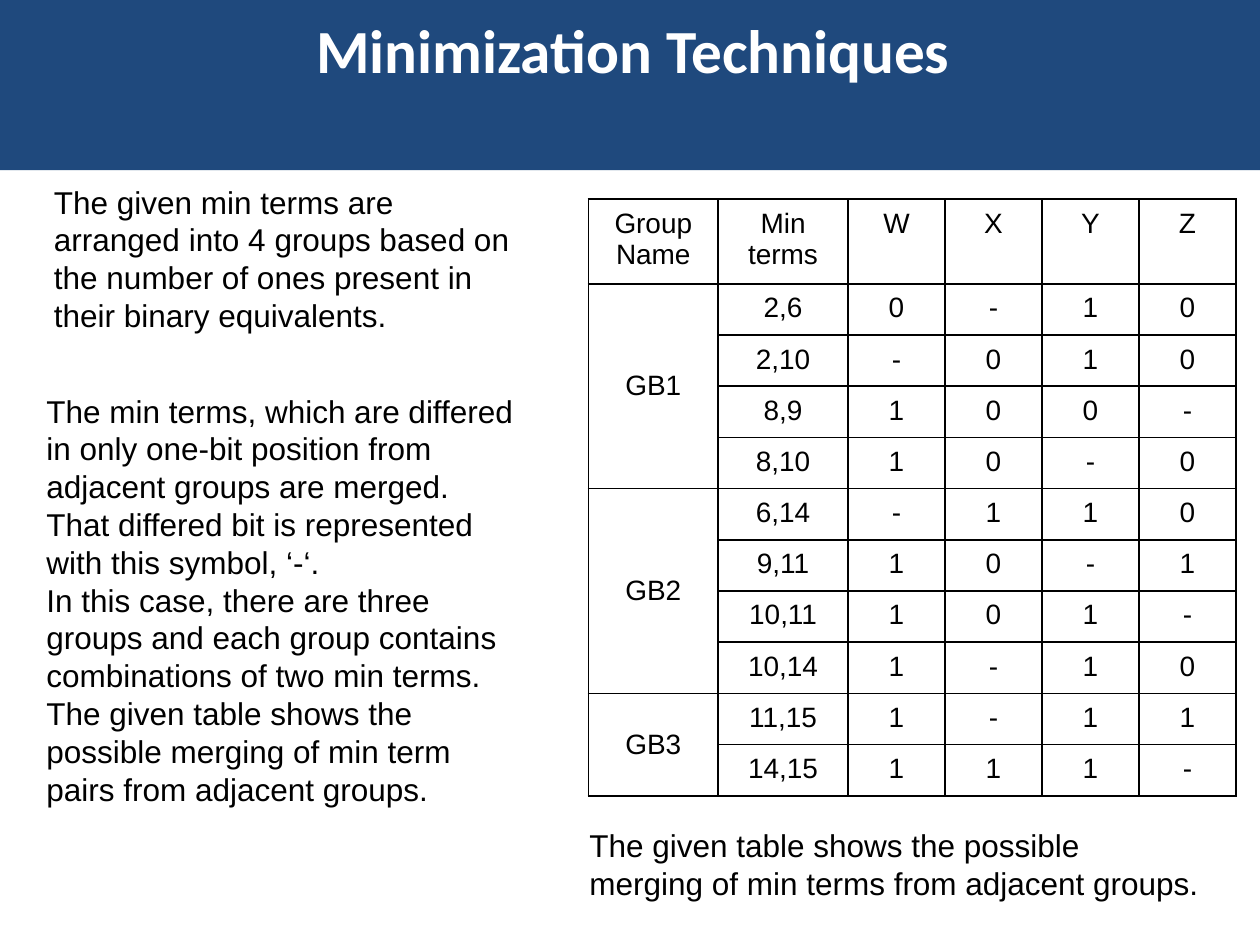
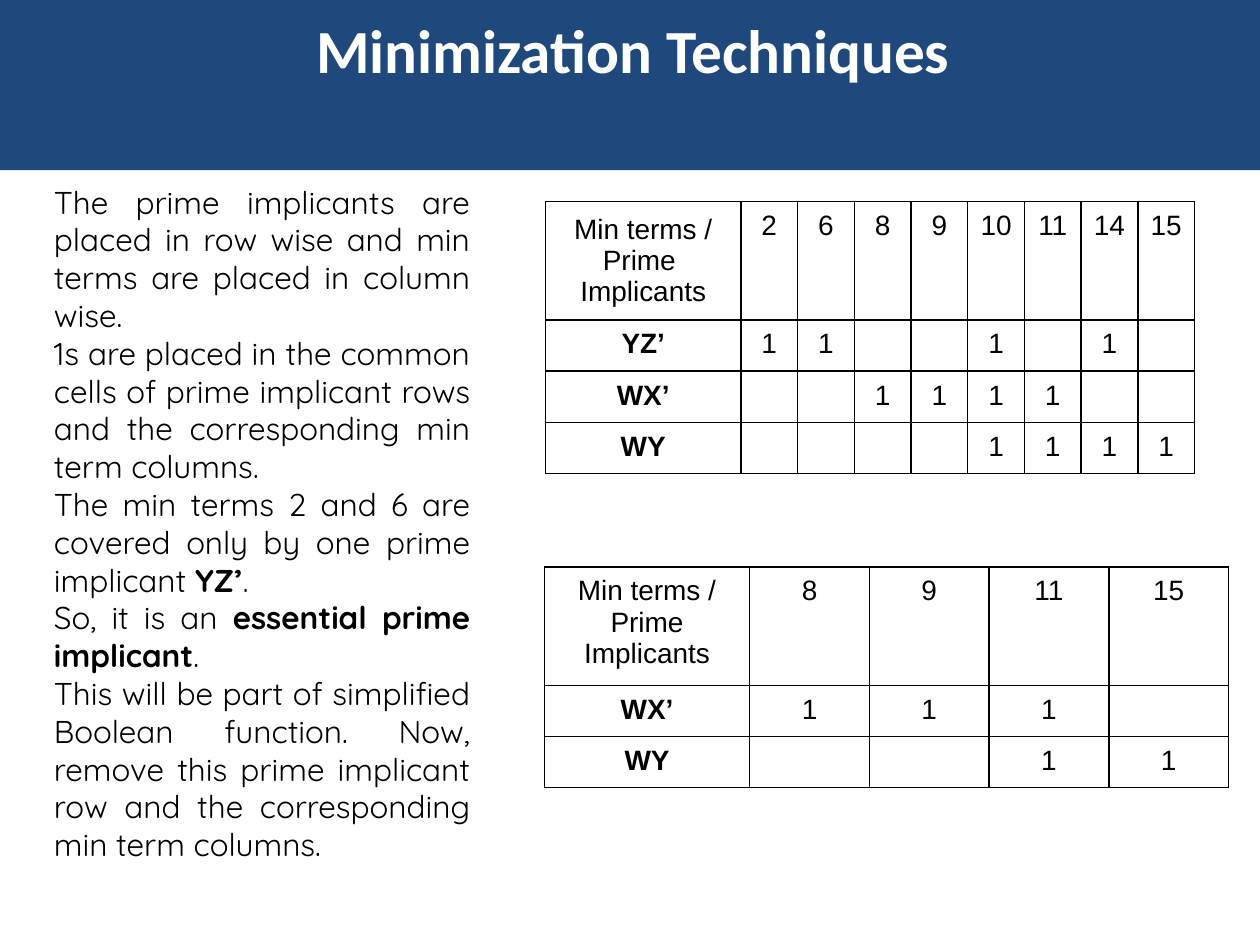
from pptx import Presentation
from pptx.dml.color import RGBColor
from pptx.enum.shapes import MSO_SHAPE
from pptx.enum.text import MSO_ANCHOR, PP_ALIGN
from pptx.oxml import parse_xml
from pptx.oxml.ns import nsdecls
from pptx.util import Inches, Pt

RECT = MSO_SHAPE.RECTANGLE
LEFT, CENTER, JUSTIFY = PP_ALIGN.LEFT, PP_ALIGN.CENTER, PP_ALIGN.JUSTIFY
TOP, MIDDLE = MSO_ANCHOR.TOP, MSO_ANCHOR.MIDDLE

COLORS = {"band": "1F497D", "title": "FFFFFF", "text": "000000", "border": "000000"}
TITLE = "Minimization Techniques "

# Asterisks enclose bold words.
GROUPING = ["The given min terms are arranged into 4 groups based on the number of "
            "ones present in their binary equivalents."]
MERGING = [
    "The min terms, which are differed in only one-bit position from adjacent "
    "groups are merged.",
    "That differed bit is represented with this symbol, ‘-‘.",
    "In this case, there are three groups and each group contains combinations of "
    "two min terms. The given table shows the possible merging of min term pairs "
    "from adjacent groups.",
]
CAPTION = ["The given table shows the possible merging of min terms from adjacent groups."]
IMPLICANTS = [
    "The prime implicants are placed in row wise and min terms are placed in "
    "column wise. ",
    "1s are placed in the common cells of prime implicant rows and the "
    "corresponding min term columns.",
    "The min terms 2 and 6 are covered only by one prime implicant *YZ’*. ",
    "So, it is an *essential prime implicant*. ",
    "This will be part of simplified Boolean function. Now, remove this prime "
    "implicant row and the corresponding min term columns. ",
]

PAIR_HEADER = ["Group Name", "Min terms", "W", "X", "Y", "Z"]
PAIR_GROUPS = {
    "GB1": [("2,6", "0-10"), ("2,10", "-010"), ("8,9", "100-"), ("8,10", "10-0")],
    "GB2": [("6,14", "-110"), ("9,11", "10-1"), ("10,11", "101-"), ("10,14", "1-10")],
    "GB3": [("11,15", "1-11"), ("14,15", "111-")],
}

FULL_MINTERMS = [2, 6, 8, 9, 10, 11, 14, 15]
REDUCED_MINTERMS = [8, 9, 11, 15]
COVERS = {"YZ’": {2, 6, 10, 14}, "WX’": {8, 9, 10, 11}, "WY": {10, 11, 14, 15}}

ROW_H, PAIR_HEAD_H, CHART_HEAD_H = 0.4, 0.66, 0.93
CELL_INSET = Inches(0.07)


def write(tf, paragraphs, size=18, font="Arial", color="text", align=LEFT, bold=False):
    for i, text in enumerate(paragraphs):
        p = tf.paragraphs[0] if i == 0 else tf.add_paragraph()
        p.alignment = align
        for j, part in enumerate(text.split("*")):
            if not part:
                continue
            r = p.add_run()
            r.text = part
            r.font.size = Pt(size)
            r.font.name = font
            r.font.bold = bold or j % 2 == 1
            r.font.color.rgb = RGBColor.from_string(COLORS[color])


def add_text(slide, box, paragraphs, **fmt):
    sp = slide.shapes.add_textbox(*map(Inches, box))
    sp.text_frame.word_wrap = True
    write(sp.text_frame, paragraphs, **fmt)


def add_titled_slide(prs):
    slide = prs.slides.add_slide(prs.slide_layouts[6])
    band = slide.shapes.add_shape(RECT, 0, 0, prs.slide_width, Inches(1.35))
    band.shadow.inherit = False
    band.fill.solid()
    band.fill.fore_color.rgb = RGBColor.from_string(COLORS["band"])
    band.line.fill.background()
    add_text(slide, (0.08, 0.05, 10, 1.31), [TITLE], size=35, font="Calibri",
             color="title", align=CENTER, bold=True)
    return slide


def set_borders(cell):
    tc_pr = cell._tc.get_or_add_tcPr()
    for i, side in enumerate("LRTB"):
        tc_pr.insert(i, parse_xml(
            f'<a:ln{side} {nsdecls("a")} w="12700"><a:solidFill>'
            f'<a:srgbClr val="{COLORS["border"]}"/></a:solidFill></a:ln{side}>'))


def fill_cell(cell, paragraphs, anchor=TOP, bold=False):
    cell.margin_left = cell.margin_right = CELL_INSET
    cell.margin_top = cell.margin_bottom = CELL_INSET
    cell.vertical_anchor = anchor
    write(cell.text_frame, paragraphs, size=16, align=CENTER, bold=bold)


def add_grid(slide, left, top, col_widths, row_heights):
    """Add an empty, unfilled table with ruled cells."""
    frame = slide.shapes.add_table(
        len(row_heights), len(col_widths), Inches(left), Inches(top),
        Inches(sum(col_widths)), Inches(sum(row_heights)))
    table = frame.table
    table.first_row = table.horz_banding = False
    for col, width in zip(table.columns, col_widths):
        col.width = Inches(width)
    for row, height in zip(table.rows, row_heights):
        row.height = Inches(height)
    for cell in table.iter_cells():
        cell.fill.background()
        set_borders(cell)
    return table


def add_pair_table(slide):
    pair_count = sum(map(len, PAIR_GROUPS.values()))
    table = add_grid(slide, 4.67, 1.58, [1.03] * 2 + [0.77] * 4,
                     [PAIR_HEAD_H] + [ROW_H] * pair_count)
    for c, heading in enumerate(PAIR_HEADER):
        fill_cell(table.cell(0, c), [heading])
    row = 1
    for group, pairs in PAIR_GROUPS.items():
        table.cell(row, 0).merge(table.cell(row + len(pairs) - 1, 0))
        fill_cell(table.cell(row, 0), [group], anchor=MIDDLE)
        for minterms, bits in pairs:
            for c, value in enumerate([minterms, *bits], 1):
                fill_cell(table.cell(row, c), [value])
            row += 1


def add_implicant_chart(slide, left, top, label_w, minterm_w, corner, minterms,
                        implicants, corner_anchor=TOP):
    table = add_grid(slide, left, top, [label_w] + [minterm_w] * len(minterms),
                     [CHART_HEAD_H] + [ROW_H] * len(implicants))
    fill_cell(table.cell(0, 0), corner, anchor=corner_anchor)
    for c, minterm in enumerate(minterms, 1):
        fill_cell(table.cell(0, c), [str(minterm)])
    for r, implicant in enumerate(implicants, 1):
        fill_cell(table.cell(r, 0), [implicant], bold=True)
        for c, minterm in enumerate(minterms, 1):
            if minterm in COVERS[implicant]:
                fill_cell(table.cell(r, c), ["1"])


def main():
    prs = Presentation()
    prs.slide_width, prs.slide_height = Inches(10), Inches(7.5)

    slide = add_titled_slide(prs)
    add_text(slide, (0.33, 1.4, 3.92, 1.31), GROUPING)
    add_pair_table(slide)
    add_text(slide, (0.27, 3.06, 3.98, 3.43), MERGING)
    add_text(slide, (4.58, 6.51, 5.04, 0.71), CAPTION)

    slide = add_titled_slide(prs)
    add_text(slide, (0.33, 1.4, 3.5, 5.55), IMPLICANTS, font="Quicksand", align=JUSTIFY)
    add_implicant_chart(slide, 4.33, 1.6, 1.55, 0.45,
                        ["Min terms /", "Prime ", "Implicants"],
                        FULL_MINTERMS, list(COVERS), corner_anchor=MIDDLE)
    add_implicant_chart(slide, 4.32, 4.5, 1.63, 0.95, ["Min terms / Prime Implicants"],
                        REDUCED_MINTERMS, ["WX’", "WY"])

    prs.save("out.pptx")


if __name__ == "__main__":
    main()
